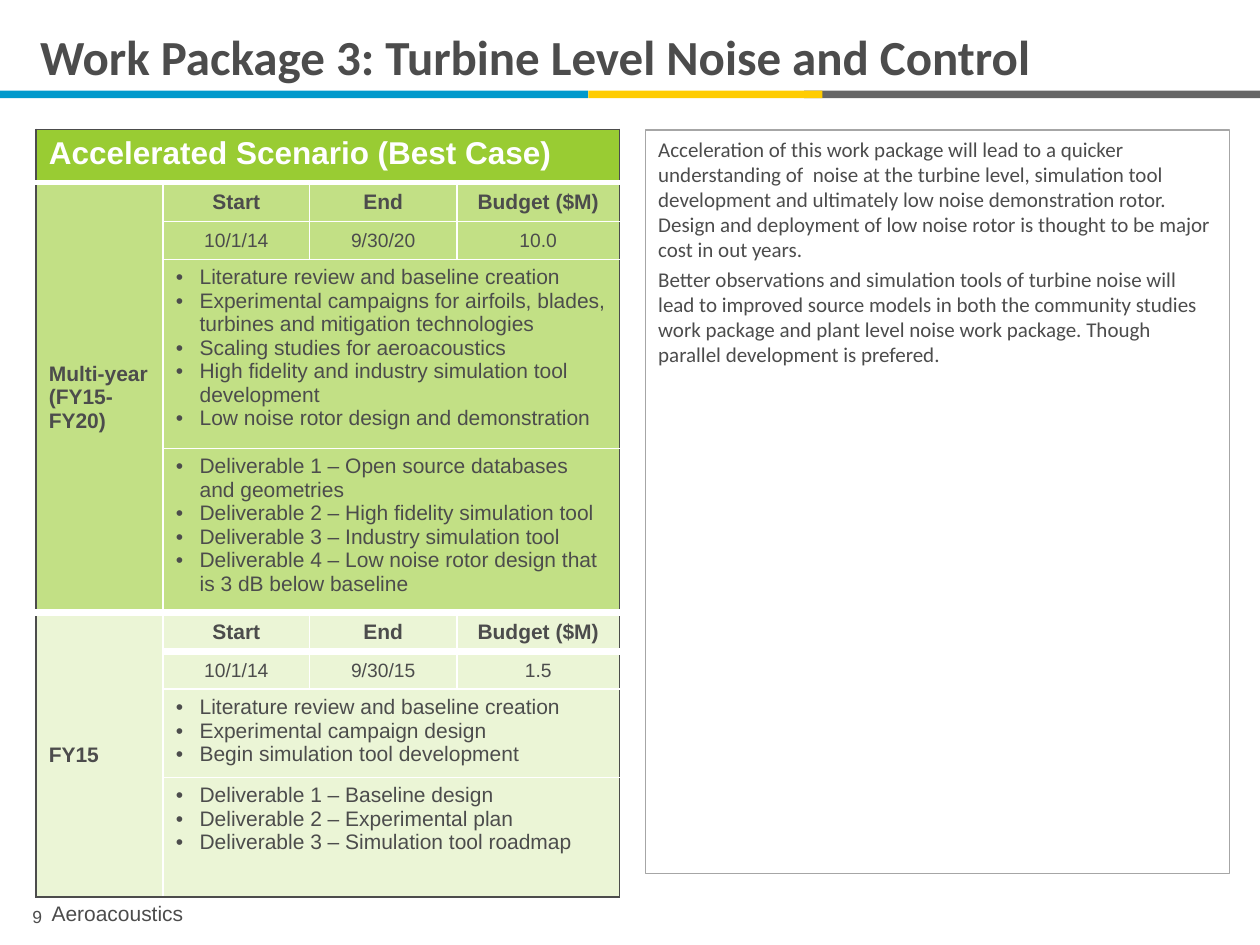
from pptx import Presentation
from pptx import util as u
from pptx.dml.color import RGBColor
from pptx.enum import shapes, text
from pptx.oxml.ns import qn
from lxml import etree

DARK = RGBColor(0x4C, 0x4C, 0x4C)
WHITE = RGBColor(0xFF, 0xFF, 0xFF)
GREEN = RGBColor(0x99, 0xCC, 0x33)
MID_GREEN = RGBColor(0xC2, 0xE0, 0x85)
PALE_GREEN = RGBColor(0xEB, 0xF5, 0xD6)
BLUE = RGBColor(0x00, 0x99, 0xCC)
GREY = RGBColor(0x66, 0x66, 0x66)
YELLOW = RGBColor(0xFF, 0xCC, 0x00)
FRAME_GREY = RGBColor(0xA6, 0xA6, 0xA6)

TITLE = "Work Package 3: Turbine Level Noise and Control"
STRIPES = [(0, 11.86, BLUE), (16.21, 9.19, GREY), (11.86, 4.72, YELLOW)]
SCENARIO = "Accelerated Scenario (Best Case)"
HEADINGS = ["Start", "End", "Budget ($M)"]
PERIODS = [
    {
        "name": "Multi-year (FY15-FY20)",
        "fill": MID_GREEN,
        "values": ["10/1/14", "9/30/20", "10.0"],
        "tasks": [
            "Literature review and baseline creation",
            "Experimental campaigns for airfoils, blades, turbines and mitigation technologies",
            "Scaling studies for aeroacoustics",
            "High fidelity and industry simulation tool development",
            "Low noise rotor design and demonstration",
        ],
        "deliverables": [
            "Deliverable 1 – Open source databases and geometries",
            "Deliverable 2 – High fidelity simulation tool",
            "Deliverable 3 – Industry simulation tool",
            "Deliverable 4 – Low noise rotor design that is 3 dB below baseline",
        ],
    },
    {
        "name": "FY15",
        "fill": PALE_GREEN,
        "values": ["10/1/14", "9/30/15", "1.5"],
        "tasks": [
            "Literature review and baseline creation",
            "Experimental campaign design",
            "Begin simulation tool development",
        ],
        "deliverables": [
            "Deliverable 1 – Baseline design",
            "Deliverable 2 – Experimental plan",
            "Deliverable 3 – Simulation tool roadmap",
        ],
    },
]
COMMENTS = [
    "Acceleration of this work package will lead to a quicker understanding of  noise at the "
    "turbine level, simulation tool development and ultimately low noise demonstration rotor. "
    "Design and deployment of low noise rotor is thought to be major cost in out years.",
    "Better observations and simulation tools of turbine noise will lead to improved source "
    "models in both the community studies work package and plant level noise work package. "
    "Though parallel development is prefered.",
]
COLUMN_WIDTHS = [2.56, 2.95, 2.97, 3.28]
ROW_HEIGHTS = [1.07, 0.79, 0.76, 2.84, 3.25, 0.79, 0.76, 1.4, 2.41]
TABLE_HEIGHT = 15.98
LINE_BELOW = [3, 1, 1, 0.5, 4.5, 4.5, 1, 0.5, 1]
BULLET_INDENT = u.Cm(0.48)


def write(frame, lines, size, font="Arial", color=DARK, bold=False, align=text.PP_ALIGN.LEFT):
    frame.word_wrap = True
    frame.text = "\n".join(lines)
    for paragraph in frame.paragraphs:
        paragraph.alignment = align
        for run in paragraph.runs:
            run.font.name = font
            run.font.size = u.Pt(size)
            run.font.bold = bold
            run.font.color.rgb = color


def add_text(slide, box, content, size, font="Arial", bold=False, align=text.PP_ALIGN.LEFT):
    frame = slide.shapes.add_textbox(*map(u.Cm, box)).text_frame
    frame.vertical_anchor = text.MSO_ANCHOR.MIDDLE
    write(frame, [content], size, font, bold=bold, align=align)
    return frame


def add_border(cell, side, color, width):
    line = etree.SubElement(cell._tc.get_or_add_tcPr(), qn("a:ln" + side), w=str(u.Pt(width)))
    fill = etree.SubElement(line, qn("a:solidFill"))
    etree.SubElement(fill, qn("a:srgbClr"), val=str(color))


def add_bullets(frame):
    for paragraph in frame.paragraphs:
        properties = paragraph._p.get_or_add_pPr()
        properties.set("marL", str(BULLET_INDENT))
        properties.set("indent", str(-BULLET_INDENT))
        etree.SubElement(properties, qn("a:buFont"), typeface="Arial")
        etree.SubElement(properties, qn("a:buChar"), char="•")


def fill_cell(table, row, column, lines, fill, size=12, span=(1, 1), middle=True, **style):
    cell = table.cell(row, column)
    last_row, last_column = row + span[0] - 1, column + span[1] - 1
    if span != (1, 1):
        cell.merge(table.cell(last_row, last_column))
    add_border(cell, "L", WHITE if column else DARK, 1)
    add_border(cell, "R", DARK if last_column == len(COLUMN_WIDTHS) - 1 else WHITE, 1)
    add_border(cell, "T", WHITE if row else DARK, LINE_BELOW[row - 1] if row else 1)
    at_bottom = last_row == len(ROW_HEIGHTS) - 1
    add_border(cell, "B", DARK if at_bottom else WHITE, LINE_BELOW[last_row])
    cell.fill.solid()
    cell.fill.fore_color.rgb = fill
    if middle:
        cell.vertical_anchor = text.MSO_ANCHOR.MIDDLE
    write(cell.text_frame, lines, size, **style)
    for line in range(row, last_row + 1):
        for position in range(column, last_column + 1):
            for paragraph in table.cell(line, position).text_frame.paragraphs:
                paragraph.font.size = u.Pt(size)
    return cell


def add_schedule(slide):
    frame = slide.shapes.add_table(
        len(ROW_HEIGHTS), len(COLUMN_WIDTHS), u.Cm(0.73), u.Cm(2.61),
        u.Cm(sum(COLUMN_WIDTHS)), u.Cm(TABLE_HEIGHT))
    table = frame.table
    table.first_row = table.horz_banding = False
    for column, width in zip(table.columns, COLUMN_WIDTHS):
        column.width = u.Cm(width)
    for row, height in zip(table.rows, ROW_HEIGHTS):
        row.height = u.Cm(height)
    frame.height = u.Cm(TABLE_HEIGHT)
    fill_cell(table, 0, 0, [SCENARIO], GREEN, 18, (1, 4), False, color=WHITE, bold=True)
    for index, period in enumerate(PERIODS):
        top, fill = 1 + 4 * index, period["fill"]
        fill_cell(table, top, 0, [period["name"]], fill, span=(4, 1), bold=True)
        for column, (heading, value) in enumerate(zip(HEADINGS, period["values"]), 1):
            center = text.PP_ALIGN.CENTER
            fill_cell(table, top, column, [heading], fill, bold=True, align=center)
            fill_cell(table, top + 1, column, [value], fill, 11, align=center)
        for row, key in enumerate(("tasks", "deliverables"), top + 2):
            cell = fill_cell(table, row, 1, period[key], fill, span=(1, 3), middle=False)
            add_bullets(cell.text_frame)


def add_rectangle(slide, *box):
    shape = slide.shapes.add_shape(shapes.MSO_SHAPE.RECTANGLE, *map(u.Cm, box))
    shape.shadow.inherit = False
    return shape


def main():
    presentation = Presentation()
    presentation.slide_width, presentation.slide_height = u.Cm(25.4), u.Cm(19.05)
    slide = presentation.slides.add_slide(presentation.slide_layouts[6])

    add_text(slide, (0.13, 18.14, 1.24, 0.66), "9", 10, align=text.PP_ALIGN.CENTER)
    for left, width, color in STRIPES:
        stripe = add_rectangle(slide, left, 1.83, width, 0.15)
        stripe.fill.solid()
        stripe.fill.fore_color.rgb = color
        stripe.line.fill.background()
    add_text(slide, (0.56, 0, 24.23, 2.26), TITLE, 28, "Calibri", bold=True)
    footer = add_text(slide, (1.04, 18.03, 19.66, 0.76), "Aeroacoustics", 12)
    footer.margin_left = footer.margin_right = 0

    add_schedule(slide)

    comments = add_rectangle(slide, 13.02, 2.62, 11.77, 14.99)
    comments.fill.background()
    comments.line.color.rgb = FRAME_GREY
    comments.line.width = u.Pt(0.75)
    comments.text_frame.vertical_anchor = text.MSO_ANCHOR.TOP
    comments.text_frame.margin_right = u.Cm(0.35)
    write(comments.text_frame, COMMENTS, 12, "Calibri")
    for paragraph in comments.text_frame.paragraphs:
        paragraph.space_before = u.Pt(2.4)

    presentation.save("out.pptx")


if __name__ == "__main__":
    main()
